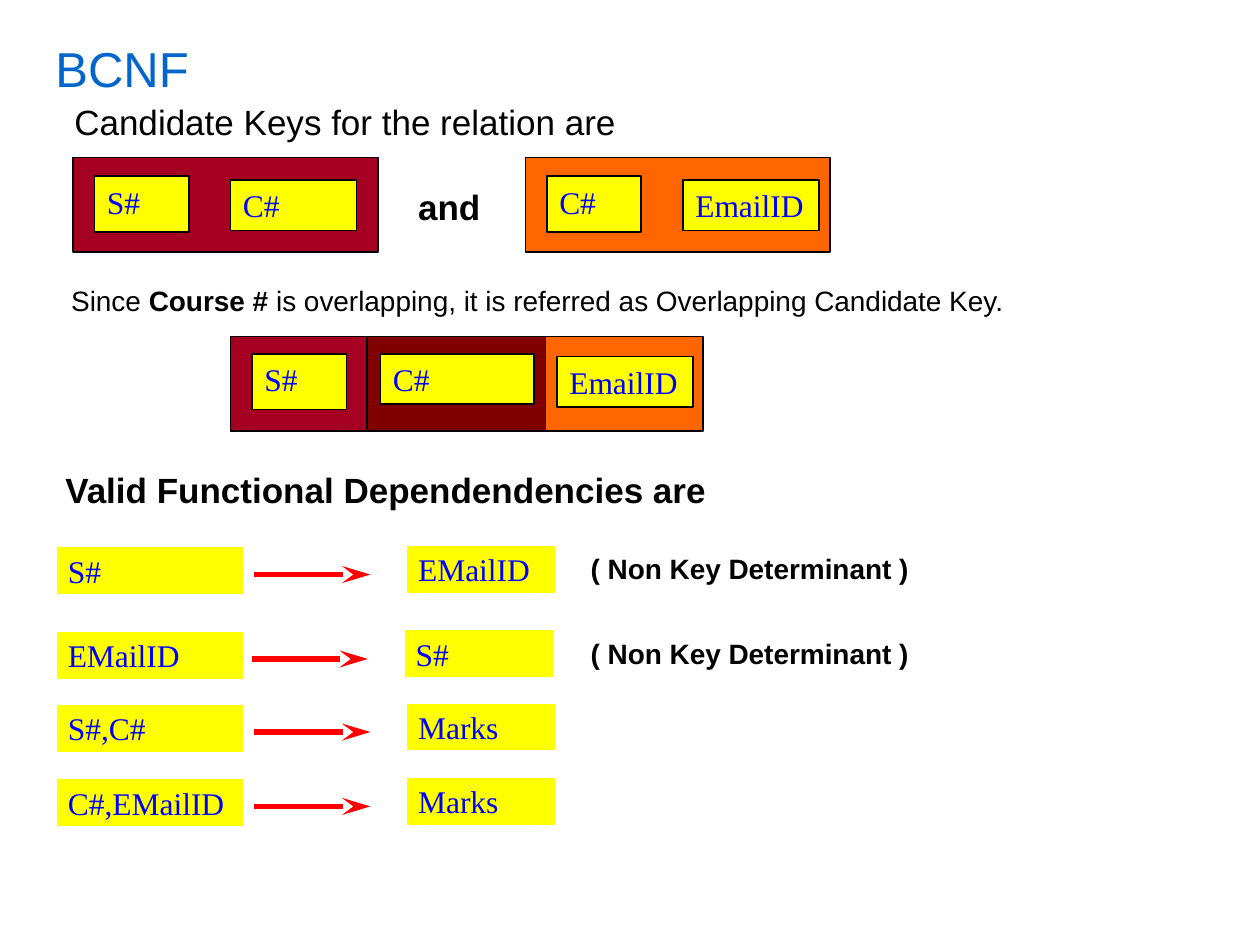
"""Build the BCNF slide on overlapping candidate keys and functional dependencies."""
from lxml import etree
from pptx import Presentation
from pptx.dml.color import RGBColor
from pptx.enum import shapes, text
from pptx.oxml.ns import qn
from pptx.util import Inches, Pt

TITLE_BLUE = RGBColor(0x00, 0x66, 0xCC)
TEXT_BLUE = RGBColor(0x00, 0x00, 0xFF)
BLACK = RGBColor(0x00, 0x00, 0x00)
WHITE = RGBColor(0xFF, 0xFF, 0xFF)
YELLOW = RGBColor(0xFF, 0xFF, 0x00)
CRIMSON = RGBColor(0xA5, 0x00, 0x21)
MAROON = RGBColor(0x80, 0x00, 0x00)
ORANGE = RGBColor(0xFF, 0x66, 0x00)
RED = RGBColor(0xFF, 0x00, 0x00)

presentation = Presentation()
presentation.slide_width = Inches(10)
presentation.slide_height = Inches(7.5)
slide = presentation.slides.add_slide(presentation.slide_layouts[5])


def add_box(left, top, width, height, fill, label="", line=BLACK, weight=1):
    shape = slide.shapes.add_shape(
        shapes.MSO_SHAPE.RECTANGLE, Inches(left), Inches(top), Inches(width), Inches(height))
    shape.shadow.inherit = False
    shape.fill.solid()
    shape.fill.fore_color.rgb = fill
    shape.line.color.rgb = line
    shape.line.width = Pt(weight)
    if label:
        frame = shape.text_frame
        frame.vertical_anchor = text.MSO_ANCHOR.TOP
        paragraph = frame.paragraphs[0]
        paragraph.text = label
        paragraph.alignment = text.PP_ALIGN.LEFT
        paragraph.font.name = "Times New Roman"
        paragraph.font.size = Pt(18)
        paragraph.font.color.rgb = TEXT_BLUE


def add_caption(left, top, width, height, size, runs, wrap=False):
    frame = slide.shapes.add_textbox(
        Inches(left), Inches(top), Inches(width), Inches(height)).text_frame
    frame.word_wrap = wrap
    frame.auto_size = text.MSO_AUTO_SIZE.SHAPE_TO_FIT_TEXT
    paragraph = frame.paragraphs[0]
    paragraph.alignment = text.PP_ALIGN.LEFT if wrap else text.PP_ALIGN.CENTER
    paragraph.font.name = "Arial"
    paragraph.font.size = Pt(size)
    paragraph.font.color.rgb = BLACK
    for words, bold in runs:
        run = paragraph.add_run()
        run.text = words
        run.font.bold = bold


title = slide.shapes.title
title.left, title.top, title.width, title.height = (
    Inches(value) for value in (0.34, 0.26, 9.38, 0.56))
title.text_frame.text = "BCNF"
title.text_frame.auto_size = text.MSO_AUTO_SIZE.NONE
title.text_frame.vertical_anchor = text.MSO_ANCHOR.MIDDLE
paragraph = title.text_frame.paragraphs[0]
paragraph.alignment = text.PP_ALIGN.LEFT
paragraph.font.name = "Arial"
paragraph.font.size = Pt(28)
paragraph.font.color.rgb = TITLE_BLUE

add_caption(0.48, 0.75, 4.52, 0.44, 20, [("Candidate Keys for the relation are", False)])
add_caption(3.19, 1.42, 0.75, 0.44, 20, [("and", True)])
add_caption(0.44, 2.2, 7.65, 0.37, 16, [
    ("Since ", False), ("Course # ", True),
    ("is overlapping, it is referred as Overlapping Candidate Key.", False)])
add_caption(0.42, 3.67, 6.42, 0.44, 20, [("Valid Functional Dependendencies are", True)], wrap=True)

for left, fill, first, second, second_width in [
        (0.58, CRIMSON, "S#", "C#", 1), (4.17, ORANGE, "C#", "EmailID", 1.08)]:
    add_box(left, 1.25, 2.42, 0.75, fill)
    add_box(left + 0.17, 1.4, 0.75, 0.44, YELLOW, first)
    add_box(left + 1.25, 1.43, second_width, 0.4, YELLOW, second)

for left, width, fill, label, label_left, label_top, label_width, label_height in [
        (1.83, 2.42, CRIMSON, "S#", 2, 2.81, 0.75, 0.44),
        (2.91, 2.67, ORANGE, "EmailID", 4.42, 2.83, 1.08, 0.4),
        (2.91, 1.42, MAROON, "C#", 3.02, 2.81, 1.22, 0.4)]:
    add_box(left, 2.67, width, 0.75, fill)
    add_box(label_left, label_top, label_width, label_height, YELLOW, label)

for top, determinant, dependent, shift, note in [
        (4.33, "S#", "EMailID", 0, "( Non Key Determinant )"),
        (5, "EMailID", "S#", -0.02, "( Non Key Determinant )"),
        (5.58, "S#,C#", "Marks", 0, ""),
        (6.17, "C#,EMailID", "Marks", 0, "")]:
    add_box(0.44, top, 1.5, 0.4, YELLOW, determinant, WHITE, 2)
    add_box(3.22 + shift, top - 0.01, 1.2, 0.4, YELLOW, dependent, WHITE, 2)
    arrow = slide.shapes.add_connector(
        shapes.MSO_CONNECTOR.STRAIGHT, Inches(2.02 + shift), Inches(top + 0.23),
        Inches(2.94 + shift), Inches(top + 0.23))
    arrow.line.color.rgb = RED
    arrow.line.width = Pt(3.25)
    properties = arrow._element.spPr
    etree.SubElement(properties.find(qn("a:ln")), qn("a:tailEnd"), type="stealth", w="med", len="lg")
    etree.SubElement(properties, qn("a:effectLst"))
    if note:
        add_caption(4.54, top, 2.82, 0.37, 16, [(note, True)])

presentation.save("out.pptx")
